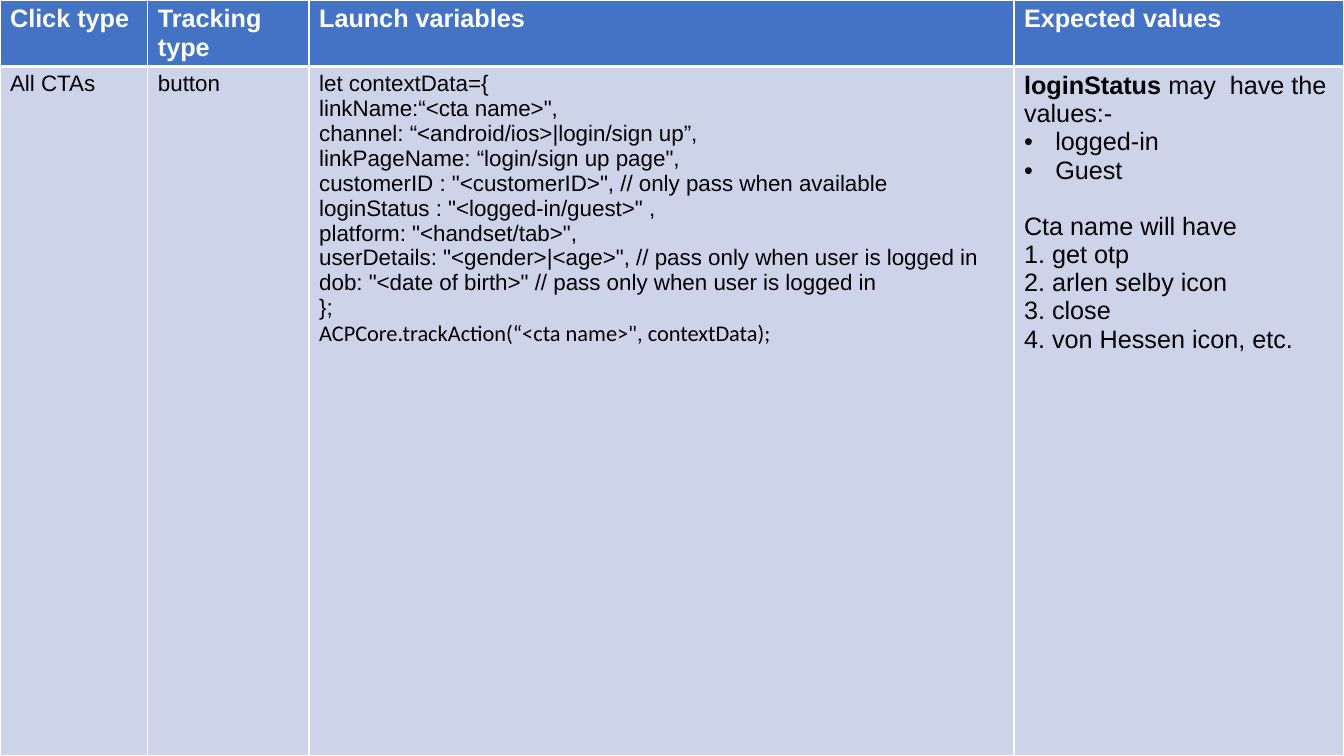
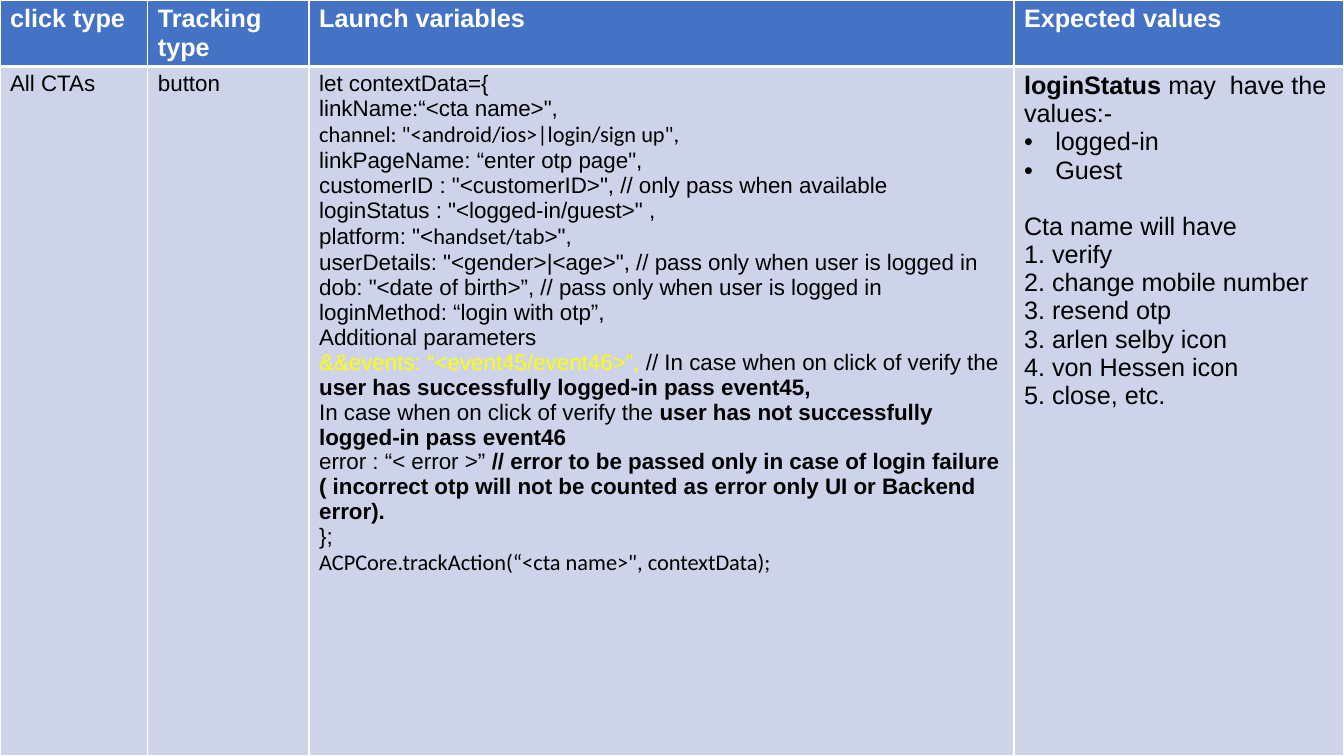
"""Build two tracking specification slides, each one full-page table."""
from dataclasses import dataclass
from typing import Optional

from lxml.etree import SubElement
from pptx import Presentation
from pptx.dml.color import RGBColor as Color
from pptx.oxml.ns import qn
from pptx.util import Inches, Pt


@dataclass(frozen=True)
class Theme:
    header_fill: str = "4472C4"
    body_fill: str = "CDD4EA"
    header_text: str = "FFFFFF"
    body_text: str = "000000"
    highlight: str = "FFFF00"
    border: str = "FFFFFF"
    font: str = "Arial"
    alternate_font: str = "Calibri"
    large: int = 18
    small: int = 16
    thin: int = 1
    thick: int = 3
    bullet_indent: float = 0.31
    group_gap: int = 20


@dataclass(frozen=True)
class Run:
    text: str
    bold: Optional[bool] = None
    color: Optional[str] = None
    font: Optional[str] = None


@dataclass(frozen=True)
class Line:
    runs: tuple
    font: Optional[str] = None
    bullet: bool = False
    gap: int = 0


THEME = Theme()
COLUMN_SHARES = (0.11, 0.12, 0.5245, 0.245)
ROW_SHARES = (0.088, 0.912)


def line(*parts, **options):
    runs = tuple(Run(part) if isinstance(part, str) else part for part in parts)
    return Line(runs, **options)


class Deck:
    def __init__(self, theme):
        self.theme = theme
        self.presentation = Presentation()
        self.presentation.slide_width = Inches(13.33)
        self.presentation.slide_height = Inches(7.5)
        self.slide = None

    def add_slide(self):
        self.slide = self.presentation.slides.add_slide(self.presentation.slide_layouts[6])

    def add_table(self, headers, contents):
        width, height = self.presentation.slide_width, self.presentation.slide_height
        shape = self.slide.shapes.add_table(2, len(headers), 0, 0, width, height)
        table = shape.table
        table.first_row = table.horz_banding = False
        for column, share in zip(table.columns, COLUMN_SHARES):
            column.width = int(width * share)
        for row, share in zip(table.rows, ROW_SHARES):
            row.height = int(height * share)
        sizes = (self.theme.small,) * 3 + (self.theme.large,)
        for index, header in enumerate(headers):
            self.fill_cell(table.cell(0, index), [line(header)], self.theme.large, True)
            self.fill_cell(table.cell(1, index), contents[index], sizes[index], False)

    def fill_cell(self, cell, lines, size, is_header):
        theme = self.theme
        self.add_borders(cell, "lnB" if is_header else "lnT")
        cell.fill.solid()
        cell.fill.fore_color.rgb = Color.from_string(
            theme.header_fill if is_header else theme.body_fill)
        frame = cell.text_frame
        for index, content in enumerate(lines):
            paragraph = frame.add_paragraph() if index else frame.paragraphs[0]
            self.fill_paragraph(paragraph, content, size, is_header)

    def fill_paragraph(self, paragraph, content, size, is_header):
        theme = self.theme
        if content.bullet:
            self.add_bullet(paragraph)
        if content.gap:
            paragraph.space_before = Pt(content.gap)
        font = paragraph.font
        font.name = content.font or theme.font
        font.size = Pt(size)
        font.bold = is_header
        font.color.rgb = Color.from_string(
            theme.header_text if is_header else theme.body_text)
        for part in content.runs:
            run = paragraph.add_run()
            run.text = part.text
            if part.bold:
                run.font.bold = True
            if part.color:
                run.font.color.rgb = Color.from_string(part.color)
            if part.font:
                run.font.name = part.font

    def add_bullet(self, paragraph):
        properties = paragraph._p.get_or_add_pPr()
        indent = Inches(self.theme.bullet_indent)
        properties.set("marL", str(indent))
        properties.set("indent", str(-indent))
        SubElement(properties, qn("a:buFont"), typeface=self.theme.font)
        SubElement(properties, qn("a:buChar"), char="•")

    def add_borders(self, cell, thick_side):
        properties = cell._tc.get_or_add_tcPr()
        for side in ("lnL", "lnR", "lnT", "lnB"):
            weight = self.theme.thick if side == thick_side else self.theme.thin
            border = SubElement(properties, qn(f"a:{side}"), w=str(Pt(weight)))
            fill = SubElement(border, qn("a:solidFill"))
            SubElement(fill, qn("a:srgbClr"), val=self.theme.border)

    def save(self):
        self.presentation.save("out.pptx")


def launch_variables(channel, page, platform, birth_date, extra=()):
    return [
        line("let contextData={"),
        line('linkName:“<cta name>",'),
        channel,
        line(f'linkPageName: “{page}",'),
        line('customerID : "<customerID>", // only pass when available'),
        line('loginStatus : "<logged-in/guest>" ,'),
        line('platform: "<', platform, '>",'),
        line('userDetails: "<gender>|<age>", // pass only when user is logged in'),
        line(f'dob: "<date of birth>{birth_date} // pass only when user is logged in'),
        *extra,
        line("};"),
        line('ACPCore.trackAction(“<cta name>", contextData);', font=THEME.alternate_font),
    ]


def expected_values(names):
    return [
        line(Run("loginStatus ", bold=True), "may  have the values:-"),
        line("logged-in", bullet=True),
        line("Guest", bullet=True),
        line("Cta name will have", gap=THEME.group_gap),
        *map(line, names),
    ]


OTP_PARAMETERS = (
    line("loginMethod: “login with otp”,"),
    line("Additional parameters"),
    line(Run("&&events: “<event45/event46>”, ", color=THEME.highlight),
         "// In case when on click of verify the ",
         Run("user has successfully logged-in pass event45,", bold=True)),
    line("In case when on click of verify the ",
         Run("user has not successfully logged-in pass event46", bold=True)),
    line("error : “< error >” ",
         Run("// error to be passed only in case of login failure ( incorrect otp "
             "will not be counted as error only UI or Backend error).", bold=True)),
)

PAGES = (
    ("Click type",
     launch_variables(line("channel: “<android/ios>|login/sign up”,"),
                      "login/sign up page", "handset/tab", '"'),
     ("1. get otp", "2. arlen selby icon", "3. close", "4. von Hessen icon, etc.")),
    ("click type",
     launch_variables(line('channel: "<android/ios>|login/sign up",',
                           font=THEME.alternate_font),
                      "enter otp page", Run("handset/tab", font=THEME.alternate_font),
                      "”,", OTP_PARAMETERS),
     ("1. verify", "2. change mobile number", "3. resend otp",
      "3. arlen selby icon", "4. von Hessen icon", "5. close, etc.")),
)


def main():
    deck = Deck(THEME)
    for first_header, variables, names in PAGES:
        deck.add_slide()
        deck.add_table(
            (first_header, "Tracking type", "Launch variables", "Expected values"),
            ([line("All CTAs")], [line("button")], variables, expected_values(names)))
    deck.save()


if __name__ == "__main__":
    main()
